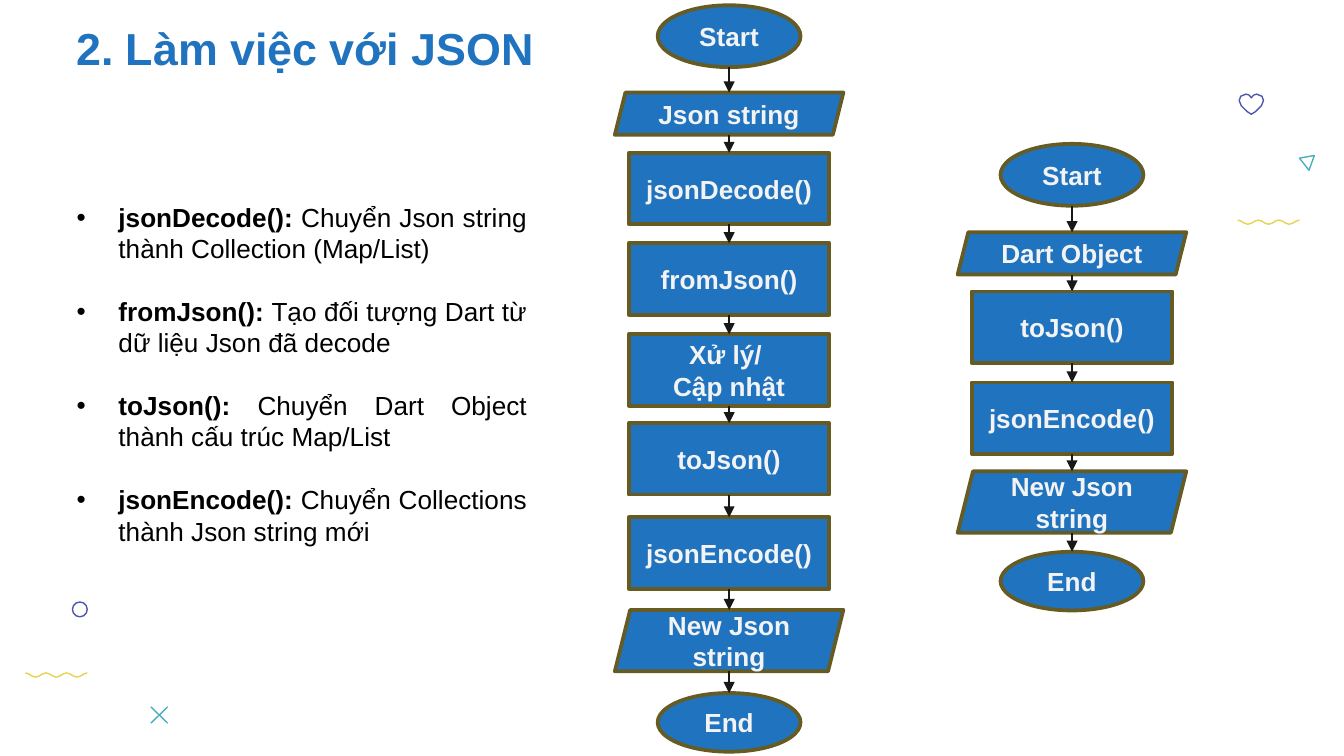
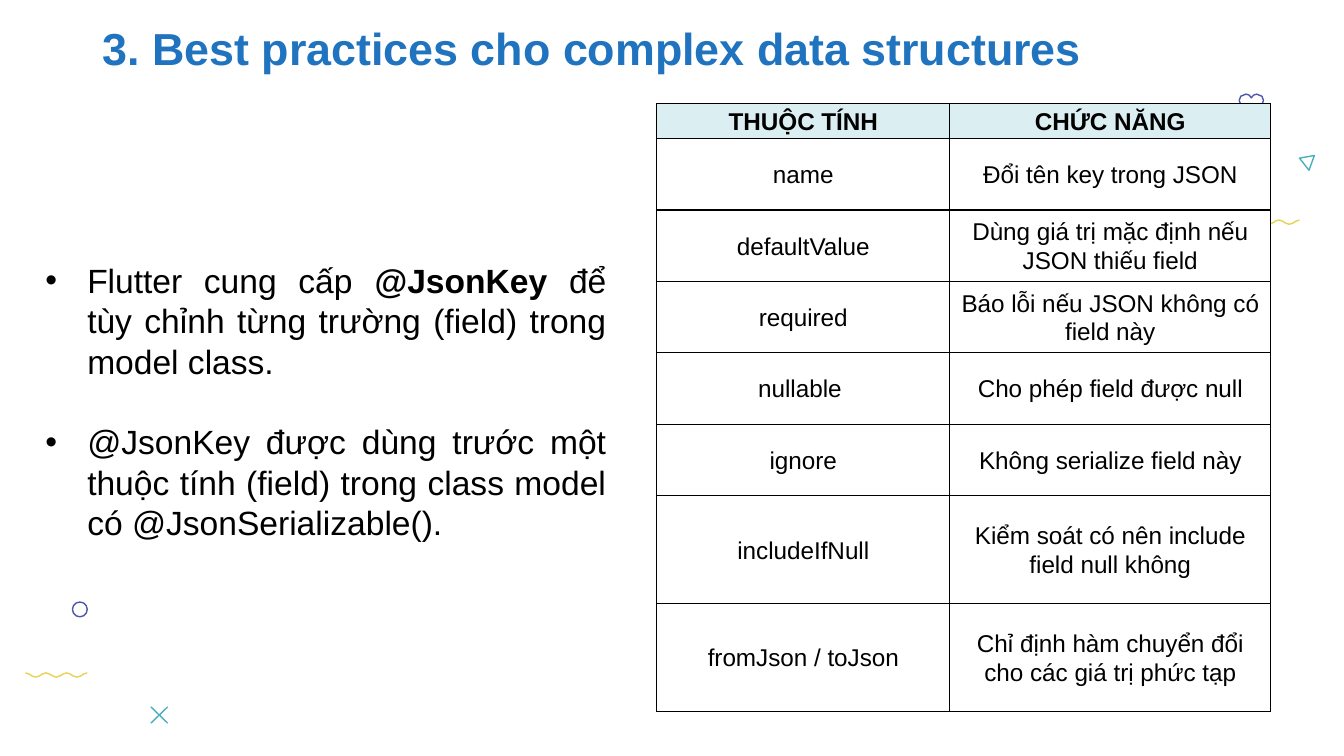
import math
from dataclasses import dataclass
from typing import NamedTuple

from lxml import etree
from pptx import Presentation
from pptx import util as u
from pptx.dml.color import RGBColor
from pptx.enum import shapes, text
from pptx.oxml import ns

FONT = "Arial"
COLORS = {
    "blue": "2073BE", "olive": "665C23", "pale": "F3F3F3", "arrow": "181818",
    "black": "000000", "white": "FFFFFF", "header": "DBEFF2",
    "teal": "4AAEBF", "yellow": "E8D24F", "violet": "4F55AB",
}
FLOW_WIDTHS = {
    shapes.MSO_SHAPE.OVAL: 2.7,
    shapes.MSO_SHAPE.PARALLELOGRAM: 4.32,
    shapes.MSO_SHAPE.RECTANGLE: 3.79,
}
TERMINAL, DATA, PROCESS = FLOW_WIDTHS
BULLET_INDENT = u.Cm(0.79)


class Point(NamedTuple):
    x: float
    y: float


class Box(NamedTuple):
    left: float
    top: float
    width: float
    height: float

    def emu(self) -> list:
        return [u.Cm(value) for value in self]


class Piece(NamedTuple):
    words: str
    bold: bool = False


@dataclass(frozen=True)
class Step:
    kind: shapes.MSO_SHAPE
    label: str
    top: float
    height: float = 1.35


@dataclass(frozen=True)
class Flow:
    center: float
    steps: tuple


DECODE_FLOW = Flow(13.78, (
    Step(TERMINAL, "Start", 0.1, 1.17),
    Step(DATA, "Json string", 1.75, 0.8),
    Step(PROCESS, "jsonDecode()", 2.89),
    Step(PROCESS, "fromJson()", 4.6),
    Step(PROCESS, "Xử lý/ \nCập nhật", 6.32),
    Step(PROCESS, "toJson()", 8),
    Step(PROCESS, "jsonEncode()", 9.78),
    Step(DATA, "New Json string", 11.53, 1.16),
    Step(TERMINAL, "End", 13.1, 1.11),
))
ENCODE_FLOW = Flow(20.26, (
    Step(TERMINAL, "Start", 2.72, 1.17),
    Step(DATA, "Dart Object", 4.39, 0.8),
    Step(PROCESS, "toJson()", 5.51),
    Step(PROCESS, "jsonEncode()", 7.23),
    Step(DATA, "New Json string", 8.91, 1.16),
    Step(TERMINAL, "End", 10.43, 1.11),
))
JSON_FUNCTIONS = (
    (Piece("jsonDecode(): ", True), Piece("Chuyển Json string thành Collection (Map/List)")),
    (Piece("fromJson(): ", True), Piece("Tạo đối tượng Dart từ dữ liệu Json đã decode")),
    (Piece("toJson(): ", True), Piece("Chuyển Dart Object thành cấu trúc Map/List")),
    (Piece("jsonEncode(): ", True), Piece("Chuyển Collections thành Json string mới")),
)
JSON_KEY_NOTES = (
    (Piece("Flutter cung cấp "), Piece("@JsonKey ", True),
     Piece("để tùy chỉnh từng trường (field) trong model class.")),
    (Piece("@JsonKey được dùng trước một thuộc tính (field) trong class model "
           "có @JsonSerializable()."),),
)
ATTRIBUTES = (
    ("THUỘC TÍNH", "CHỨC NĂNG"),
    ("name", "Đổi tên key trong JSON"),
    ("defaultValue", "Dùng giá trị mặc định nếu JSON thiếu field"),
    ("required", "Báo lỗi nếu JSON không có field này"),
    ("nullable ", "Cho phép field được null"),
    ("ignore", "Không serialize field này"),
    ("includeIfNull", "Kiểm soát có nên include field null không"),
    ("fromJson / toJson", "Chỉ định hàm chuyển đổi cho các giá trị phức tạp"),
)
ATTRIBUTE_WIDTHS = (5.54, 6.06)
ATTRIBUTE_HEIGHTS = (0.66, *[1.35] * 5, *[2.04] * 2)


def rgb(color: str) -> RGBColor:
    return RGBColor.from_string(COLORS[color])


def set_font(paragraph, size: float, color: str, bold=None) -> None:
    font = paragraph.font
    font.name, font.size, font.bold = FONT, u.Pt(size), bold
    font.color.rgb = rgb(color)


def set_line(shape, color: str, width: float) -> None:
    shape.line.color.rgb = rgb(color)
    shape.line.width = u.Pt(width)


def add_line(slide, start: Point, end: Point, color: str, width: float):
    line = slide.shapes.add_connector(
        shapes.MSO_CONNECTOR.STRAIGHT, *[u.Cm(value) for value in (*start, *end)])
    set_line(line, color, width)
    etree.SubElement(line.element.spPr, ns.qn("a:effectLst"))
    return line


def add_outline(slide, points: list, color: str, close: bool) -> None:
    first, *rest = [(u.Cm(x), u.Cm(y)) for x, y in points]
    builder = slide.shapes.build_freeform(*first, scale=1.0)
    builder.add_line_segments(rest, close=close)
    outline = builder.convert_to_shape()
    outline.fill.background()
    outline.shadow.inherit = False
    set_line(outline, color, 0.75)


def add_wave(slide, left: float, top: float) -> None:
    count = 18
    points = [
        Point(left + 1.17 * i / count, top + 0.04 * (1 - math.cos(6 * math.pi * i / count)))
        for i in range(count + 1)
    ]
    add_outline(slide, points, "yellow", False)


def add_heart(slide, center: float, top: float) -> None:
    half = [
        Point(0, 0.38), Point(-0.08, 0.33), Point(-0.19, 0.22), Point(-0.23, 0.12),
        Point(-0.2, 0.04), Point(-0.1, 0), Point(-0.04, 0.02), Point(0, 0.07),
    ]
    mirrored = [Point(-x, y) for x, y in reversed(half[1:-1])]
    points = [Point(center + x, top + y) for x, y in half + mirrored]
    add_outline(slide, points, "violet", True)


def add_decorations(slide) -> None:
    add_line(slide, Point(2.85, 13.36), Point(3.17, 13.67), "teal", 0.75)
    add_line(slide, Point(3.17, 13.36), Point(2.85, 13.67), "teal", 0.75)
    add_wave(slide, 0.48, 12.72)
    add_wave(slide, 23.39, 4.16)
    ring = slide.shapes.add_shape(shapes.MSO_SHAPE.OVAL, *Box(1.37, 11.38, 0.28, 0.28).emu())
    ring.fill.background()
    ring.shadow.inherit = False
    set_line(ring, "violet", 0.75)
    add_outline(slide, [Point(24.84, 2.94), Point(24.56, 2.99), Point(24.74, 3.22)], "teal", True)
    add_heart(slide, 23.65, 1.78)


def decorate_layout(slide) -> None:
    layout = slide.slide_layout
    for placeholder in list(layout.placeholders):
        layout.shapes.element.remove(placeholder.element)
    add_decorations(slide)
    for decoration in list(slide.shapes):
        layout.shapes.element.append(decoration.element)


def add_title(slide, title: str, left: float, width: float) -> None:
    frame = slide.shapes.add_textbox(*Box(left, 0, width, 1.8).emu()).text_frame
    frame.word_wrap = True
    frame.vertical_anchor = text.MSO_ANCHOR.MIDDLE
    frame.text = title
    set_font(frame.paragraphs[0], 24, "blue", True)


def add_bullet(paragraph) -> None:
    properties = paragraph._p.get_or_add_pPr()
    properties.set("marL", str(BULLET_INDENT))
    properties.set("indent", str(-BULLET_INDENT))
    bullet_color = etree.SubElement(properties, ns.qn("a:buClr"))
    etree.SubElement(bullet_color, ns.qn("a:srgbClr"), val=COLORS["black"])
    etree.SubElement(properties, ns.qn("a:buFont"), typeface=FONT)
    etree.SubElement(properties, ns.qn("a:buChar"), char="•")


def add_bullets(slide, box: Box, items: tuple, size: float) -> None:
    frame = slide.shapes.add_textbox(*box.emu()).text_frame
    frame.word_wrap = True
    for index, pieces in enumerate(items):
        paragraph = frame.add_paragraph() if index else frame.paragraphs[0]
        add_bullet(paragraph)
        paragraph.alignment = text.PP_ALIGN.JUSTIFY
        if index:
            paragraph.space_before = u.Pt(1.2 * size)
        set_font(paragraph, size, "black")
        for piece in pieces:
            run = paragraph.add_run()
            run.text = piece.words
            run.font.bold = piece.bold


def add_step(slide, center: float, step: Step):
    width = FLOW_WIDTHS[step.kind]
    box = Box(center - width / 2, step.top, width, step.height)
    node = slide.shapes.add_shape(step.kind, *box.emu())
    node.shadow.inherit = False
    node.fill.solid()
    node.fill.fore_color.rgb = rgb("blue")
    set_line(node, "olive", 2)
    frame = node.text_frame
    frame.vertical_anchor = text.MSO_ANCHOR.MIDDLE
    frame.text = step.label
    for paragraph in frame.paragraphs:
        paragraph.alignment = text.PP_ALIGN.CENTER
        set_font(paragraph, 14, "pale", True)
    return node


def add_flow(slide, flow: Flow) -> None:
    nodes = [add_step(slide, flow.center, step) for step in flow.steps]
    stops = list(zip(flow.steps, nodes))
    for (upper, upper_node), (lower, lower_node) in zip(stops, stops[1:]):
        arrow = add_line(slide, Point(flow.center, upper.top + upper.height),
                         Point(flow.center, lower.top), "arrow", 1)
        etree.SubElement(arrow.line._get_or_add_ln(), ns.qn("a:tailEnd"), type="triangle")
        if upper.kind == PROCESS:
            arrow.begin_connect(upper_node, 2)
        if lower.kind == PROCESS:
            arrow.end_connect(lower_node, 0)


def set_borders(cell) -> None:
    properties = cell._tc.get_or_add_tcPr()
    for index, side in enumerate(("lnL", "lnR", "lnT", "lnB")):
        border = etree.Element(ns.qn(f"a:{side}"), w=str(u.Pt(0.75)))
        fill = etree.SubElement(border, ns.qn("a:solidFill"))
        etree.SubElement(fill, ns.qn("a:srgbClr"), val=COLORS["black"])
        properties.insert(index, border)


def fill_cell(cell, words: str, header: bool) -> None:
    cell.fill.solid()
    cell.fill.fore_color.rgb = rgb("header" if header else "white")
    cell.margin_left = cell.margin_right = u.Cm(0.19)
    cell.margin_top = cell.margin_bottom = 0
    cell.vertical_anchor = text.MSO_ANCHOR.MIDDLE
    cell.text = words
    paragraph = cell.text_frame.paragraphs[0]
    paragraph.alignment = text.PP_ALIGN.CENTER
    paragraph.line_spacing = 1.07
    paragraph.space_after = u.Pt(8)
    set_font(paragraph, 13, "black", header)
    set_borders(cell)


def add_attribute_table(slide) -> None:
    box = Box(12.41, 1.96, sum(ATTRIBUTE_WIDTHS), sum(ATTRIBUTE_HEIGHTS))
    table = slide.shapes.add_table(
        len(ATTRIBUTES), len(ATTRIBUTE_WIDTHS), *box.emu()).table
    table.first_row = table.horz_banding = False
    for column, width in zip(table.columns, ATTRIBUTE_WIDTHS):
        column.width = u.Cm(width)
    for index, (row, height) in enumerate(zip(table.rows, ATTRIBUTE_HEIGHTS)):
        row.height = u.Cm(height)
        for cell, words in zip(row.cells, ATTRIBUTES[index]):
            fill_cell(cell, words, index == 0)


def main() -> None:
    deck = Presentation()
    deck.slide_width, deck.slide_height = u.Cm(25.4), u.Cm(14.29)
    blank = deck.slide_layouts[6]

    json_slide = deck.slides.add_slide(blank)
    decorate_layout(json_slide)
    add_title(json_slide, "2. Làm việc với JSON", 1.19, 18.57)
    add_flow(json_slide, DECODE_FLOW)
    add_flow(json_slide, ENCODE_FLOW)
    add_bullets(json_slide, Box(1.2, 3.68, 9.01, 7.44), JSON_FUNCTIONS, 14)

    practices_slide = deck.slides.add_slide(blank)
    add_title(practices_slide, "3. Best practices cho complex data structures", 1.69, 23.09)
    add_bullets(practices_slide, Box(0.61, 4.79, 11.1, 6.4), JSON_KEY_NOTES, 18)
    add_attribute_table(practices_slide)

    deck.save("out.pptx")


if __name__ == "__main__":
    main()
